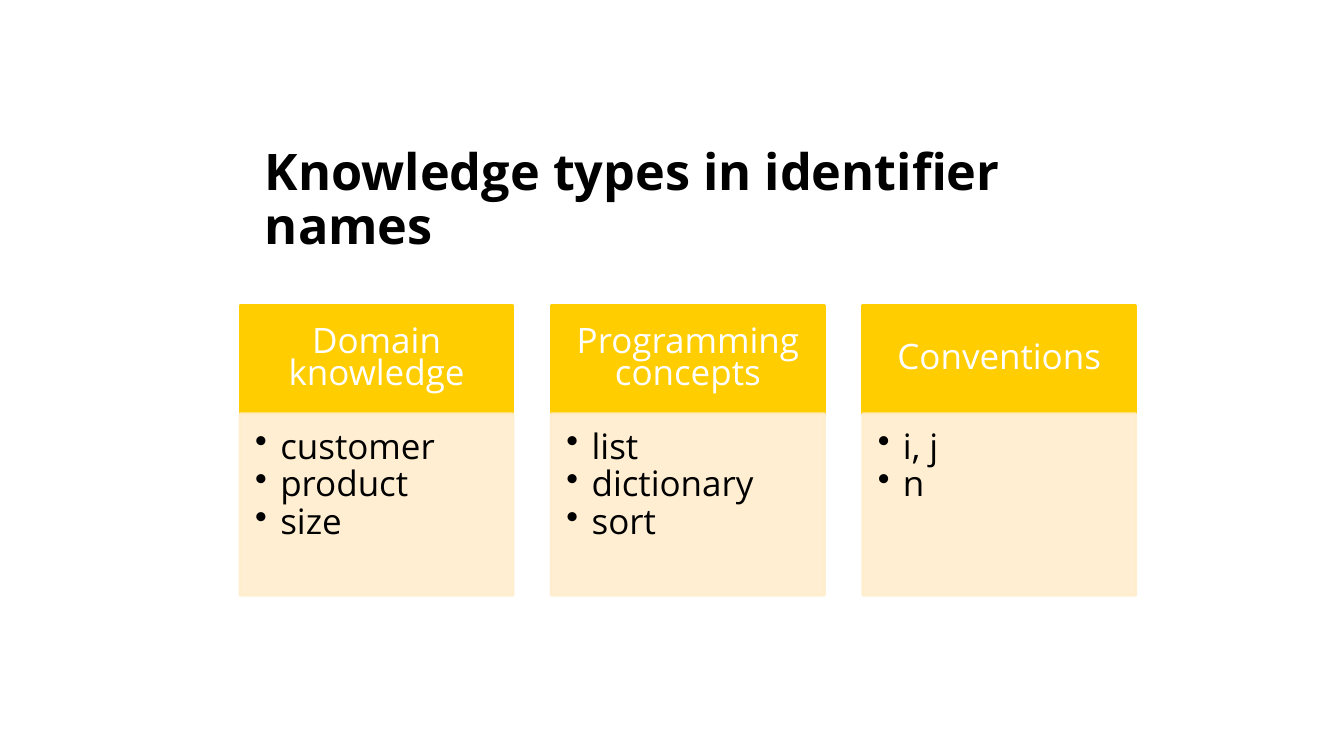
from dataclasses import dataclass

from lxml.etree import SubElement
from pptx import Presentation
from pptx.dml.color import RGBColor
from pptx.enum.shapes import MSO_SHAPE
from pptx.enum.text import MSO_ANCHOR, PP_ALIGN
from pptx.oxml.ns import qn
from pptx.shapes.autoshape import Shape
from pptx.slide import Slide
from pptx.text.text import TextFrame, _Paragraph
from pptx.util import Pt


@dataclass(frozen=True)
class Theme:
    font: str = "Open Sans"
    title_size: float = 36
    text_size: float = 25
    dark: RGBColor = RGBColor(0x00, 0x00, 0x00)
    light: RGBColor = RGBColor(0xFF, 0xFF, 0xFF)
    header_fill: RGBColor = RGBColor(0xFF, 0xCD, 0x00)
    body_fill: RGBColor = RGBColor(0xFF, 0xED, 0xCC)
    body_opacity: int = 90


@dataclass(frozen=True)
class Box:
    left: float
    top: float
    width: float
    height: float


@dataclass(frozen=True)
class KnowledgeType:
    name: str
    examples: tuple[str, ...]


THEME = Theme()
TITLE_BOX = Box(182.2, 94.3, 595.4, 98.6)
COLUMN_LEFT, COLUMN_WIDTH, COLUMN_PITCH = 171.4, 195.1, 222.4
HEADER_TOP, HEADER_HEIGHT, BODY_HEIGHT = 218.2, 77.4, 129.6
BULLET_INDENT = 18

KNOWLEDGE_TYPES = (
    KnowledgeType("Domain knowledge", ("customer", "product", "size")),
    KnowledgeType("Programming concepts", ("list", "dictionary", "sort")),
    KnowledgeType("Conventions", ("i, j", "n")),
)


def style_paragraph(paragraph: _Paragraph, size: float, color: RGBColor,
                    spacing: float, bold: bool = False) -> None:
    paragraph.font.name = THEME.font
    paragraph.font.size = Pt(size)
    paragraph.font.bold = bold
    paragraph.font.color.rgb = color
    paragraph.line_spacing = spacing


def set_insets(frame: TextFrame, left: float, top: float,
               right: float, bottom: float) -> None:
    frame.word_wrap = True
    frame.margin_left, frame.margin_top = Pt(left), Pt(top)
    frame.margin_right, frame.margin_bottom = Pt(right), Pt(bottom)


def add_bullet(paragraph: _Paragraph) -> None:
    properties = paragraph._p.get_or_add_pPr()
    properties.set("marL", str(Pt(BULLET_INDENT)))
    properties.set("indent", str(-Pt(BULLET_INDENT)))
    SubElement(properties, qn("a:buChar"), char="•")


def add_panel(slide: Slide, box: Box, color: RGBColor, opacity: int = 100) -> Shape:
    shape = slide.shapes.add_shape(MSO_SHAPE.RECTANGLE, Pt(box.left), Pt(box.top),
                                   Pt(box.width), Pt(box.height))
    shape.shadow.inherit = False
    shape.fill.solid()
    shape.fill.fore_color.rgb = color
    shape.line.color.rgb = color
    shape.line.width = Pt(2)
    if opacity < 100:
        for element in shape._element.spPr.iter(qn("a:srgbClr")):
            SubElement(element, qn("a:alpha"), val=str(opacity * 1000))
    return shape


def add_title(slide: Slide, text: str) -> None:
    box = TITLE_BOX
    shape = slide.shapes.add_textbox(Pt(box.left), Pt(box.top),
                                     Pt(box.width), Pt(box.height))
    frame = shape.text_frame
    set_insets(frame, 7.2, 3.6, 7.2, 3.6)
    frame.vertical_anchor = MSO_ANCHOR.MIDDLE
    frame.text = text
    style_paragraph(frame.paragraphs[0], THEME.title_size, THEME.dark, 0.9, bold=True)


def add_column(slide: Slide, left: float, knowledge: KnowledgeType) -> None:
    # Header
    header = add_panel(slide, Box(left, HEADER_TOP, COLUMN_WIDTH, HEADER_HEIGHT),
                       THEME.header_fill)
    frame = header.text_frame
    set_insets(frame, 13.7, 7.9, 13.7, 7.9)
    frame.vertical_anchor = MSO_ANCHOR.MIDDLE
    frame.text = knowledge.name
    paragraph = frame.paragraphs[0]
    paragraph.alignment = PP_ALIGN.CENTER
    style_paragraph(paragraph, THEME.text_size, THEME.light, 0.78)

    # Bulleted examples
    body = add_panel(slide, Box(left, HEADER_TOP + HEADER_HEIGHT, COLUMN_WIDTH, BODY_HEIGHT),
                     THEME.body_fill, THEME.body_opacity)
    frame = body.text_frame
    set_insets(frame, 10.8, 10.8, 13.7, 15.8)
    frame.vertical_anchor = MSO_ANCHOR.TOP
    frame.text = "\n".join(knowledge.examples)
    for paragraph in frame.paragraphs:
        paragraph.alignment = PP_ALIGN.LEFT
        style_paragraph(paragraph, THEME.text_size, THEME.dark, 0.9)
        add_bullet(paragraph)


def main() -> None:
    presentation = Presentation()
    presentation.slide_width, presentation.slide_height = Pt(960), Pt(540)
    slide = presentation.slides.add_slide(presentation.slide_layouts[6])
    add_title(slide, "Knowledge types in identifier names")
    for index, knowledge in enumerate(KNOWLEDGE_TYPES):
        add_column(slide, COLUMN_LEFT + index * COLUMN_PITCH, knowledge)
    presentation.save("out.pptx")


if __name__ == "__main__":
    main()
